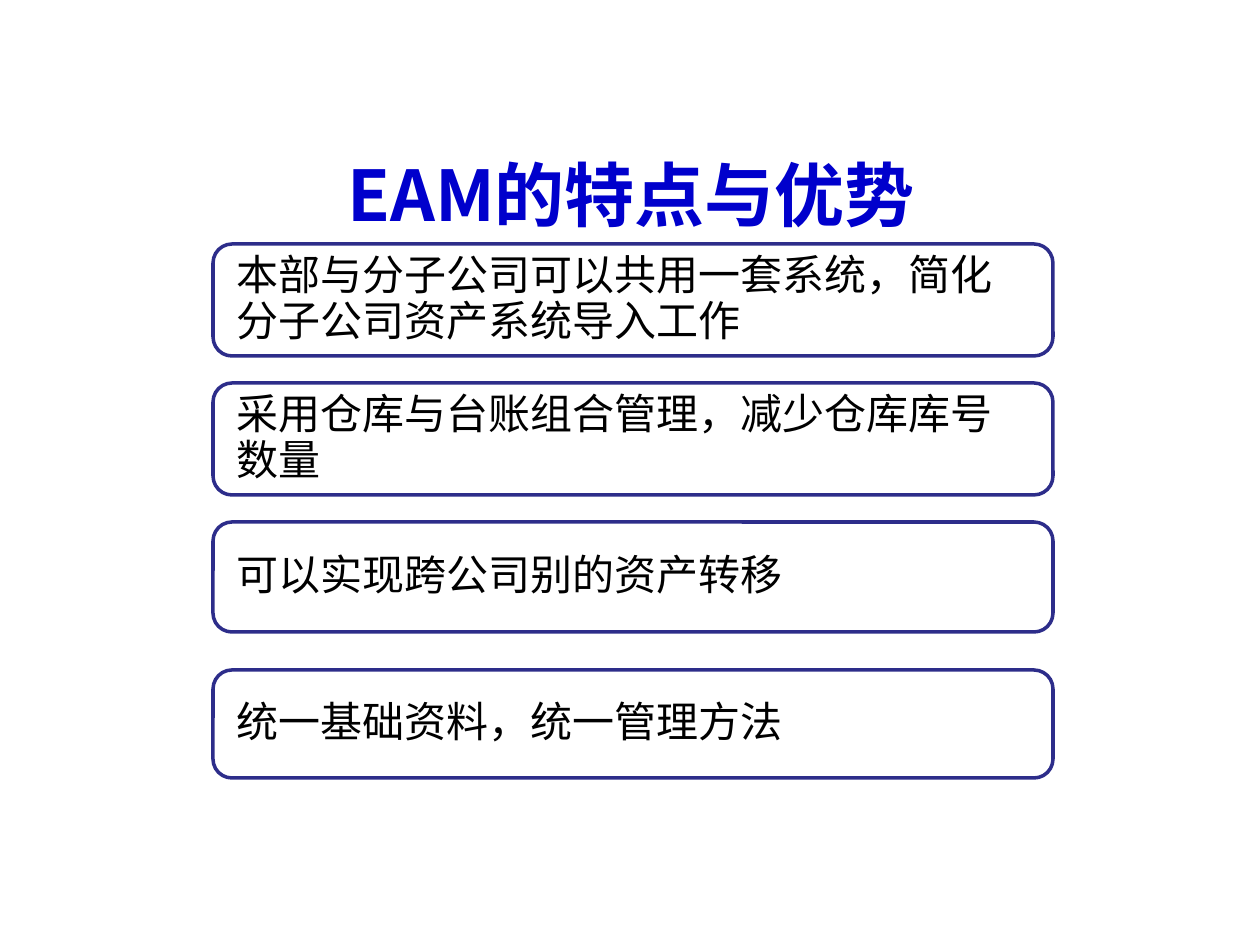
"""Build the slide on the features and advantages of EAM."""
from dataclasses import dataclass

from lxml import etree
from pptx import Presentation
from pptx import util as u
from pptx.dml.color import RGBColor
from pptx.enum import shapes, text
from pptx.oxml.ns import qn

PX_PER_INCH = 126


@dataclass(frozen=True)
class Theme:
    title_font: str = "Noto Sans CJK SC"
    body_font: str = "Arial"
    title_size: int = 40
    body_size: int = 24
    title_color: str = "0000CC"
    body_color: str = "000000"
    card_fill: str = "FFFFFF"
    card_line: str = "2D2D8A"
    line_width: int = 2
    radius: int = 19
    inset: int = 18


def px(length):
    return u.Emu(round(length * u.Inches(1) / PX_PER_INCH))


class Painter:
    def __init__(self, slide, theme):
        self.slide = slide
        self.theme = theme

    def style(self, paragraph, font, size, color, bold=False):
        for run in paragraph.runs:
            run.font.name = font
            run.font.size = u.Pt(size)
            run.font.bold = bold
            run.font.color.rgb = RGBColor.from_string(color)
            etree.SubElement(run._r.get_or_add_rPr(), qn("a:ea"), typeface=font)

    def title(self, wording, left, top, width, height):
        heading = self.slide.shapes.title
        heading.left, heading.top = px(left), px(top)
        heading.width, heading.height = px(width), px(height)
        frame = heading.text_frame
        frame.text = wording
        frame.auto_size = text.MSO_AUTO_SIZE.NONE
        frame.vertical_anchor = text.MSO_ANCHOR.TOP
        paragraph = frame.paragraphs[0]
        paragraph.alignment = text.PP_ALIGN.CENTER
        theme = self.theme
        self.style(paragraph, theme.title_font, theme.title_size, theme.title_color, True)

    def card(self, wording, left, top, width, height):
        theme = self.theme
        card = self.slide.shapes.add_shape(
            shapes.MSO_SHAPE.ROUNDED_RECTANGLE, px(left), px(top), px(width), px(height)
        )
        card.adjustments[0] = theme.radius / height
        card.shadow.inherit = False
        card.fill.solid()
        card.fill.fore_color.rgb = RGBColor.from_string(theme.card_fill)
        card.line.color.rgb = RGBColor.from_string(theme.card_line)
        card.line.width = u.Pt(theme.line_width)
        frame = card.text_frame
        frame.text = wording
        frame.word_wrap = True
        frame.vertical_anchor = text.MSO_ANCHOR.MIDDLE
        frame.margin_left = frame.margin_right = px(theme.inset)
        frame.margin_top = frame.margin_bottom = px(theme.inset)
        paragraph = frame.paragraphs[0]
        paragraph.alignment = text.PP_ALIGN.LEFT
        paragraph.line_spacing = 0.9
        paragraph.space_after = u.Pt(10.5)
        self.style(paragraph, theme.body_font, theme.body_size, theme.body_color)


def main():
    deck = Presentation()
    deck.slide_width, deck.slide_height = u.Inches(10), u.Inches(7.5)
    painter = Painter(deck.slides.add_slide(deck.slide_layouts[5]), Theme())
    painter.title("EAM的特点与优势", 64, 145, 1134, 110)
    advantages = [
        ("本部与分子公司可以共用一套系统，简化分子公司资产系统导入工作", 244, 112),
        ("采用仓库与台账组合管理，减少仓库库号数量", 383, 112),
        ("可以实现跨公司别的资产转移", 522, 110),
        ("统一基础资料，统一管理方法", 670, 108),
    ]
    for wording, top, height in advantages:
        painter.card(wording, 213, top, 840, height)
    deck.save("out.pptx")


if __name__ == "__main__":
    main()
